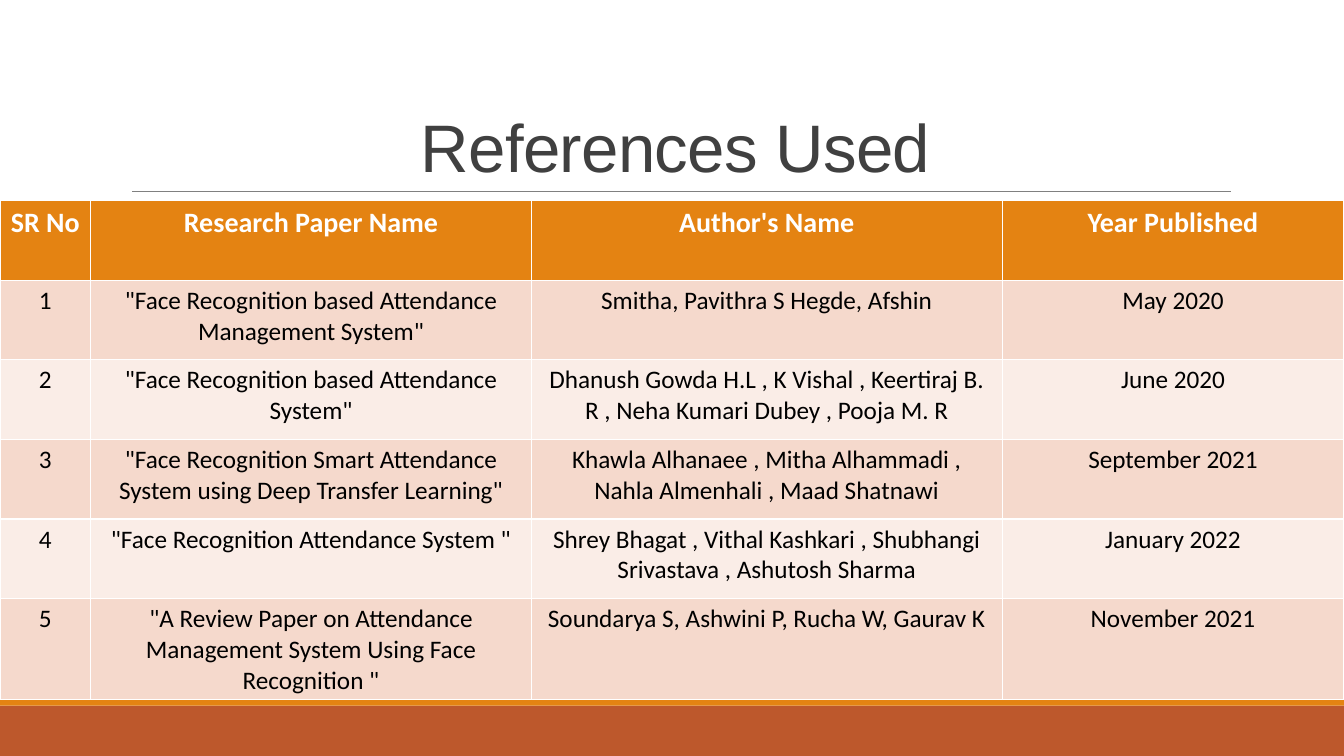
"""Build the slide listing the research papers used as references."""
from dataclasses import dataclass

from lxml import etree
from pptx import Presentation
from pptx.dml.color import RGBColor
from pptx.enum.shapes import MSO_CONNECTOR, MSO_SHAPE
from pptx.enum.text import MSO_ANCHOR, PP_ALIGN
from pptx.oxml.ns import qn
from pptx.util import Inches, Pt

RECT = MSO_SHAPE.RECTANGLE
LINE = MSO_CONNECTOR.STRAIGHT
CENTER = PP_ALIGN.CENTER
BOTTOM = MSO_ANCHOR.BOTTOM

TITLE = "References Used"
HEAD = ("SR No", "Research Paper Name", "Author's Name", "Year Published")
PAPERS = [
    ('"Face Recognition based Attendance Management System"',
     "Smitha, Pavithra S Hegde, Afshin", "May 2020"),
    ('"Face Recognition based Attendance System"',
     "Dhanush Gowda H.L , K Vishal , Keertiraj B. R , Neha Kumari Dubey , Pooja M. R",
     "June 2020"),
    ('"Face Recognition Smart Attendance System using Deep Transfer Learning"',
     "Khawla Alhanaee , Mitha Alhammadi , Nahla Almenhali , Maad Shatnawi",
     "September 2021"),
    ('"Face Recognition Attendance System "',
     "Shrey Bhagat , Vithal Kashkari , Shubhangi Srivastava , Ashutosh Sharma",
     "January 2022"),
    ('"A Review Paper on Attendance Management System Using Face Recognition "',
     "Soundarya S, Ashwini P, Rucha W, Gaurav K", "November 2021"),
]

WIDE, HIGH = 13.33, 7.5
COLS = (0.9, 4.37, 4.67, 3.39)
ROW = 0.79
TOP = 1.99
RULE = 1.9
BASE, STRIPE = 0.5, 0.07


@dataclass(frozen=True)
class Theme:
    """Colours, fonts and type sizes."""
    rust: str = "BD582C"
    gold: str = "E48312"
    gray: str = "808080"
    ink: str = "404040"
    white: str = "FFFFFF"
    black: str = "000000"
    bands: tuple = ("F5D9CC", "FAEDE7")
    display: str = "Arial"
    body: str = "Calibri"
    title: int = 48
    head: int = 20
    text: int = 18


THEME = Theme()


def paint(fill, color):
    """Give a fill one solid colour."""
    fill.solid()
    fill.fore_color.rgb = RGBColor.from_string(color)


def write(frame, text, face, size, color, bold=False):
    """Put one centred paragraph in a text frame and return it."""
    para = frame.paragraphs[0]
    para.text = text
    para.alignment = CENTER
    font = para.font
    font.name, font.size, font.bold = face, Pt(size), bold
    font.color.rgb = RGBColor.from_string(color)
    return para


def add_bar(slide, top, height, color):
    """Draw a bar across the whole slide."""
    bar = slide.shapes.add_shape(
        RECT, 0, Inches(top), Inches(WIDE), Inches(height))
    bar.shadow.inherit = False
    paint(bar.fill, color)
    bar.line.fill.background()


def add_rule(slide):
    """Draw the thin line under the title."""
    rule = slide.shapes.add_connector(
        LINE, Inches(1.31), Inches(RULE), Inches(12.21), Inches(RULE))
    rule.line.width = Pt(0.5)
    rule.line.color.rgb = RGBColor.from_string(THEME.gray)
    etree.SubElement(rule._element.spPr, qn("a:effectLst"))


def add_title(slide):
    """Write the title so that it rests on the rule."""
    top = 0.31
    box = slide.shapes.add_textbox(
        Inches(1.2), Inches(top), Inches(11), Inches(RULE - top))
    frame = box.text_frame
    frame.word_wrap = True
    frame.vertical_anchor = BOTTOM
    para = write(frame, TITLE, THEME.display, THEME.title, THEME.ink)
    para.line_spacing = 0.85
    para.runs[0]._r.get_or_add_rPr().set("spc", "-50")


def add_papers(slide):
    """Fill the table of papers, numbered in order."""
    rows = [HEAD] + [(str(n), *paper) for n, paper in enumerate(PAPERS, 1)]
    table = slide.shapes.add_table(
        len(rows), len(COLS), 0, Inches(TOP),
        Inches(WIDE), Inches(ROW * len(rows))).table
    for col, width in zip(table.columns, COLS):
        col.width = Inches(width)
    for r, row in enumerate(rows):
        top = r == 0
        fill = THEME.gold if top else THEME.bands[(r - 1) % 2]
        size = THEME.head if top else THEME.text
        color = THEME.white if top else THEME.black
        for c, text in enumerate(row):
            cell = table.cell(r, c)
            paint(cell.fill, fill)
            write(cell.text_frame, text, THEME.body, size, color, top)


def main():
    """Assemble and save the slide."""
    deck = Presentation()
    deck.slide_width, deck.slide_height = Inches(WIDE), Inches(HIGH)
    slide = deck.slides.add_slide(deck.slide_layouts[6])
    paint(slide.background.fill, THEME.white)
    add_bar(slide, HIGH - BASE, BASE, THEME.rust)
    add_bar(slide, HIGH - BASE - STRIPE, STRIPE, THEME.gold)
    add_rule(slide)
    add_title(slide)
    add_papers(slide)
    deck.save("out.pptx")


if __name__ == "__main__":
    main()
